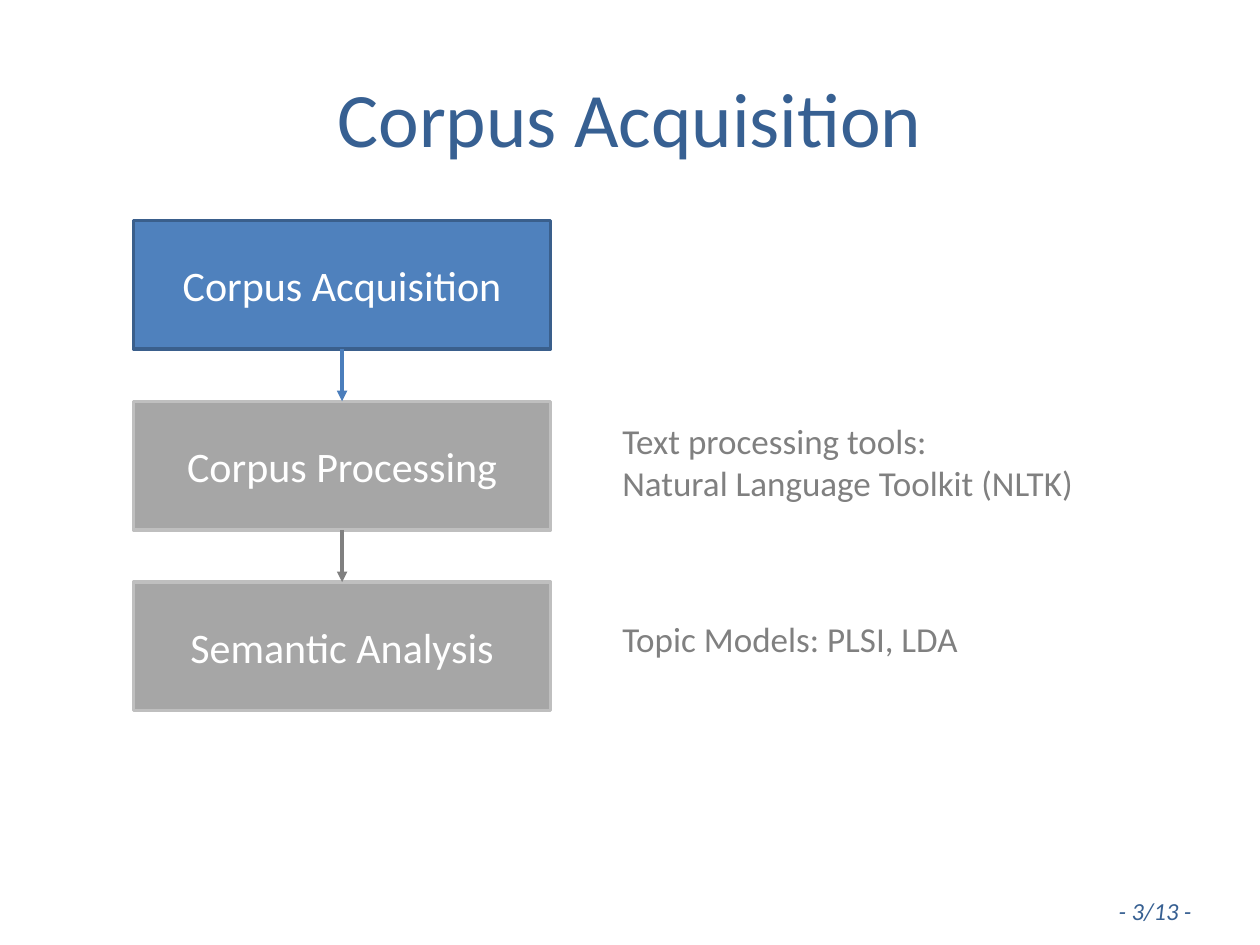
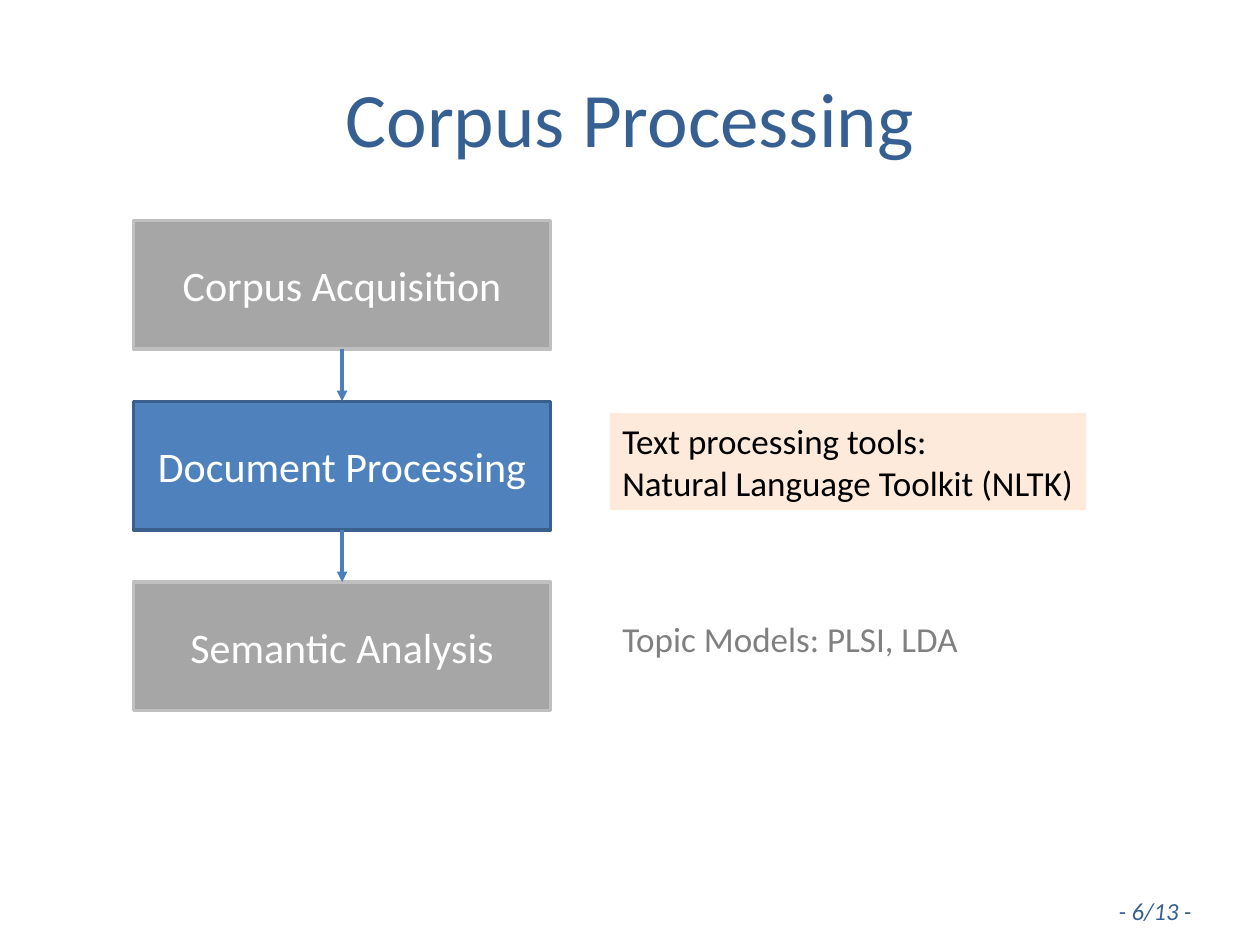
from dataclasses import dataclass

from lxml.etree import SubElement
from pptx import Presentation
from pptx.dml.color import RGBColor
from pptx.enum.shapes import MSO_CONNECTOR as Connector, MSO_SHAPE as Shape
from pptx.enum.text import MSO_ANCHOR as Anchor, MSO_AUTO_SIZE as AutoSize, PP_ALIGN as Align
from pptx.oxml.ns import qn
from pptx.util import Inches, Pt

FONT = "Calibri"
TITLE_BLUE = "376092"
ACTIVE_FILL, ACTIVE_LINE, ACTIVE_ARROW = "4F81BD", "3A5F8C", "4B7EBC"
IDLE_FILL, IDLE_LINE, IDLE_TEXT = "A6A6A6", "BFBFBF", "808080"
NOTE_FILL, BLACK, WHITE = "FDEADA", "000000", "FFFFFF"

SLIDE_W, SLIDE_H = 10, 7.5
PAGE_COUNT = 13

# The stages stand in one column of equal rows; the notes fill a second column.
STAGE_X, STAGE_W, STAGE_H = 1.06, 3.31, 1.02
FIRST_ROW_Y, ROW_PITCH = 1.75, 1.435
NOTE_X, NOTE_W = 4.84, 3.78
BOTTOM_SITE, TOP_SITE = 2, 0


@dataclass(frozen=True)
class Box:
    """A rectangle in inches."""
    x: float
    y: float
    w: float
    h: float


@dataclass(frozen=True)
class Note:
    """A remark beside one stage."""
    row: int
    y: float
    h: float
    text: str


@dataclass(frozen=True)
class Page:
    """One slide of the process overview."""
    number: int
    title: str
    stages: tuple[str, ...]
    active: int


TITLE_BOX = Box(0.05 * SLIDE_W, 0.04 * SLIDE_H, 0.9 * SLIDE_W, SLIDE_H / 6)
FOOTER_BOX = Box(8.78, 7.06, 1.03, 0.34)

NOTES = (
    Note(1, 3.28, 0.77, "Text processing tools:\nNatural Language Toolkit (NLTK)"),
    Note(2, 4.85, 0.44, "Topic Models: PLSI, LDA"),
)

PAGES = (
    Page(3, "Corpus Acquisition",
         ("Corpus Acquisition", "Corpus Processing", "Semantic Analysis"), 0),
    Page(6, "Corpus Processing",
         ("Corpus Acquisition", "Document Processing", "Semantic Analysis"), 1),
)


def rgb(color: str) -> RGBColor:
    """Turn a hex string into a colour."""
    return RGBColor.from_string(color)


def inches(box: Box) -> tuple:
    """Give a box as left, top, width and height."""
    return tuple(Inches(v) for v in (box.x, box.y, box.w, box.h))


def write(sp, text: str, size: int, color: str, align=Align.LEFT,
          anchor=Anchor.TOP, italic: bool = False, wrap: bool = True) -> None:
    """Set the text of a shape and format all its runs."""
    tf = sp.text_frame
    tf.text = text
    tf.auto_size = AutoSize.NONE
    tf.word_wrap = wrap
    tf.vertical_anchor = anchor
    for p in tf.paragraphs:
        p.alignment = align
        for r in p.runs:
            r.font.name = FONT
            r.font.size = Pt(size)
            r.font.italic = italic
            r.font.color.rgb = rgb(color)


def add_frame(s, page: Page) -> None:
    """Add the title and the page number."""
    title = s.shapes.add_textbox(*inches(TITLE_BOX))
    write(title, page.title, 44, TITLE_BLUE, Align.CENTER, Anchor.MIDDLE)
    footer = s.shapes.add_textbox(*inches(FOOTER_BOX))
    write(footer, f"- {page.number}/{PAGE_COUNT} -", 14, TITLE_BLUE,
          italic=True, wrap=False)


def add_stage(s, row: int, text: str, active: bool):
    """Add one stage of the process and return its shape."""
    box = Box(STAGE_X, FIRST_ROW_Y + row * ROW_PITCH, STAGE_W, STAGE_H)
    sp = s.shapes.add_shape(Shape.RECTANGLE, *inches(box))
    sp.shadow.inherit = False
    sp.fill.solid()
    sp.fill.fore_color.rgb = rgb(ACTIVE_FILL if active else IDLE_FILL)
    sp.line.color.rgb = rgb(ACTIVE_LINE if active else IDLE_LINE)
    sp.line.width = Pt(2)
    write(sp, text, 24, WHITE, Align.CENTER, Anchor.MIDDLE)
    return sp


def add_arrow(s, upper, lower, color: str) -> None:
    """Join two stages with an arrow that points down."""
    arrow = s.shapes.add_connector(Connector.STRAIGHT, 0, 0, 0, 0)
    arrow.begin_connect(upper, BOTTOM_SITE)
    arrow.end_connect(lower, TOP_SITE)
    arrow.line.color.rgb = rgb(color)
    arrow.line.width = Pt(2)
    SubElement(arrow.line._get_or_add_ln(), qn("a:tailEnd"), type="triangle")
    SubElement(arrow._element.spPr, qn("a:effectLst"))


def add_note(s, note: Note, active: bool) -> None:
    """Add a remark, highlighted if its stage is the active one."""
    sp = s.shapes.add_textbox(*inches(Box(NOTE_X, note.y, NOTE_W, note.h)))
    if active:
        sp.fill.solid()
        sp.fill.fore_color.rgb = rgb(NOTE_FILL)
    write(sp, note.text, 20, BLACK if active else IDLE_TEXT)


def add_page(prs, page: Page) -> None:
    """Build one slide."""
    s = prs.slides.add_slide(prs.slide_layouts[6])
    add_frame(s, page)
    stages = [add_stage(s, row, text, row == page.active)
              for row, text in enumerate(page.stages)]
    for row, (upper, lower) in enumerate(zip(stages, stages[1:])):
        touches_active = page.active in (row, row + 1)
        add_arrow(s, upper, lower, ACTIVE_ARROW if touches_active else IDLE_TEXT)
    for note in NOTES:
        add_note(s, note, note.row == page.active)


def main() -> None:
    """Build and save the presentation."""
    prs = Presentation()
    prs.slide_width, prs.slide_height = Inches(SLIDE_W), Inches(SLIDE_H)
    for page in PAGES:
        add_page(prs, page)
    prs.save("out.pptx")


main()
